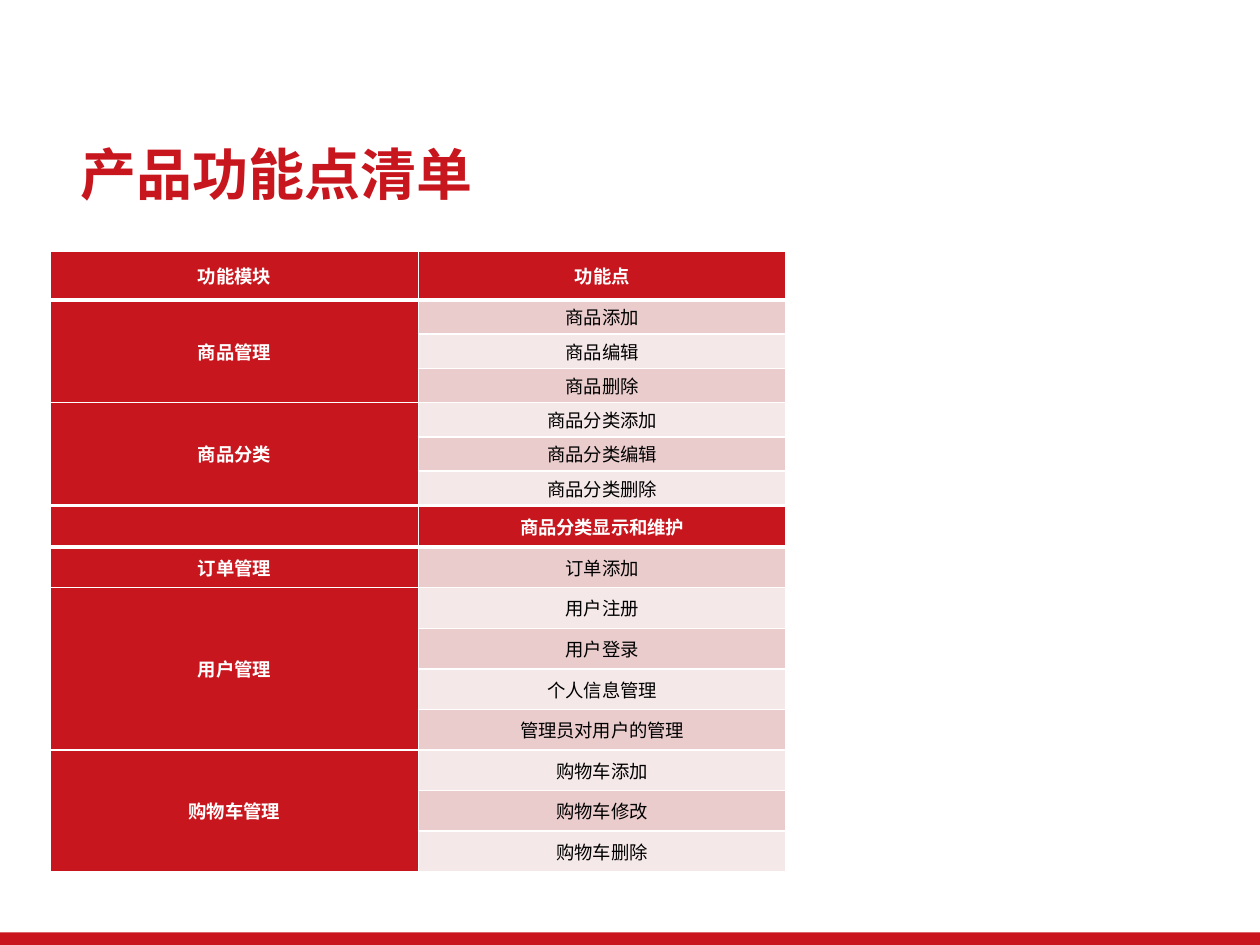
"""Builds the product feature list slide with its two module tables."""
from dataclasses import dataclass

from lxml.etree import SubElement
from pptx import Presentation
from pptx.dml.color import RGBColor
from pptx.enum.shapes import MSO_SHAPE
from pptx.enum.text import MSO_ANCHOR, PP_ALIGN
from pptx.oxml.ns import qn
from pptx.util import Inches, Pt


@dataclass(frozen=True)
class Theme:
    font: str = "Noto Sans CJK SC"
    red: str = "C8161E"
    footer: str = "C9151E"
    bands: tuple = ("F5E8E8", "EBCCCD")
    white: str = "FFFFFF"
    black: str = "000000"
    title_size: float = 32
    cell_size: float = 10.5


theme = Theme()
deck = Presentation()
deck.slide_width, deck.slide_height = Inches(10), Inches(7.5)
width, height = deck.slide_width, deck.slide_height
slide = deck.slides.add_slide(deck.slide_layouts[6])


def style_runs(paragraph, size, color, bold):
    for run in paragraph.runs:
        run.font.name, run.font.size, run.font.bold = theme.font, Pt(size), bold
        run.font.color.rgb = RGBColor.from_string(color)
        SubElement(run.font._element, qn("a:ea"), typeface=theme.font)
    if not paragraph.runs:
        SubElement(paragraph._p, qn("a:endParaRPr"), sz=str(int(size * 100)))


def style_cell(cell, is_heading, is_module, band, inset):
    cell.vertical_anchor = MSO_ANCHOR.MIDDLE
    cell.margin_left = cell.margin_right = Inches(inset)
    cell.margin_top = cell.margin_bottom = Inches(0.03)
    properties = cell._tc.get_or_add_tcPr()
    for side in ("L", "R", "T", "B"):
        points = 3 if is_heading and side == "B" else 1
        border = SubElement(properties, qn(f"a:ln{side}"), w=str(Pt(points)))
        paint = SubElement(border, qn("a:solidFill"))
        SubElement(paint, qn("a:srgbClr"), val=theme.white)
    strong = is_heading or is_module
    cell.fill.solid()
    cell.fill.fore_color.rgb = RGBColor.from_string(theme.red if strong else theme.bands[band])
    paragraph = cell.text_frame.paragraphs[0]
    paragraph.alignment = PP_ALIGN.CENTER
    paragraph.space_before = paragraph.space_after = Pt(12)
    style_runs(paragraph, theme.cell_size, theme.white if strong else theme.black, strong)


footer = slide.shapes.add_shape(MSO_SHAPE.RECTANGLE, 0, Inches(7.4), width, Inches(0.1))
footer.shadow.inherit = False
footer.fill.solid()
footer.fill.fore_color.rgb = RGBColor.from_string(theme.footer)
footer.line.fill.background()

title = slide.shapes.add_textbox(Inches(0.54), Inches(1.07), Inches(9.16), Inches(0.63)).text_frame
title.word_wrap = True
title.vertical_anchor = MSO_ANCHOR.BOTTOM
title.text = "产品功能点清单"
title.paragraphs[0].line_spacing = 0.9
style_runs(title.paragraphs[0], theme.title_size, theme.red, True)

catalog = [
    ("功能模块", ["功能点"]),
    ("商品管理", ["商品添加", "商品编辑", "商品删除"]),
    ("商品分类", ["商品分类添加", "商品分类编辑", "商品分类删除"]),
]
operations = [
    ("", ["商品分类显示和维护"]),
    ("订单管理", ["订单添加"]),
    ("用户管理", ["用户注册", "用户登录", "个人信息管理", "管理员对用户的管理"]),
    ("购物车管理", ["购物车添加", "购物车修改", "购物车删除"]),
]
sections = [
    (catalog, 1.99, 2.02, 0.39),
    (operations, 4.02, 2.9, 2.9 / 9),
]

for modules, top, extent, heading_height in sections:
    row_count = sum(len(features) for _, features in modules)
    grid = slide.shapes.add_table(
        row_count, 2, Inches(0.4), Inches(top), Inches(5.84), Inches(extent)).table
    grid.first_row = grid.horz_banding = False
    for row in grid.rows:
        row.height = Inches((extent - heading_height) / (row_count - 1))
    grid.rows[0].height = Inches(heading_height)

    start = 0
    for module, features in modules:
        grid.cell(start, 0).text = module
        for offset, feature in enumerate(features):
            grid.cell(start + offset, 1).text = feature
        if len(features) > 1:
            grid.cell(start, 0).merge(grid.cell(start + len(features) - 1, 0))
        start += len(features)

    for index in range(row_count):
        for column in range(2):
            style_cell(grid.cell(index, column), index == 0, column == 0, index % 2, 0.03)

deck.save("out.pptx")
